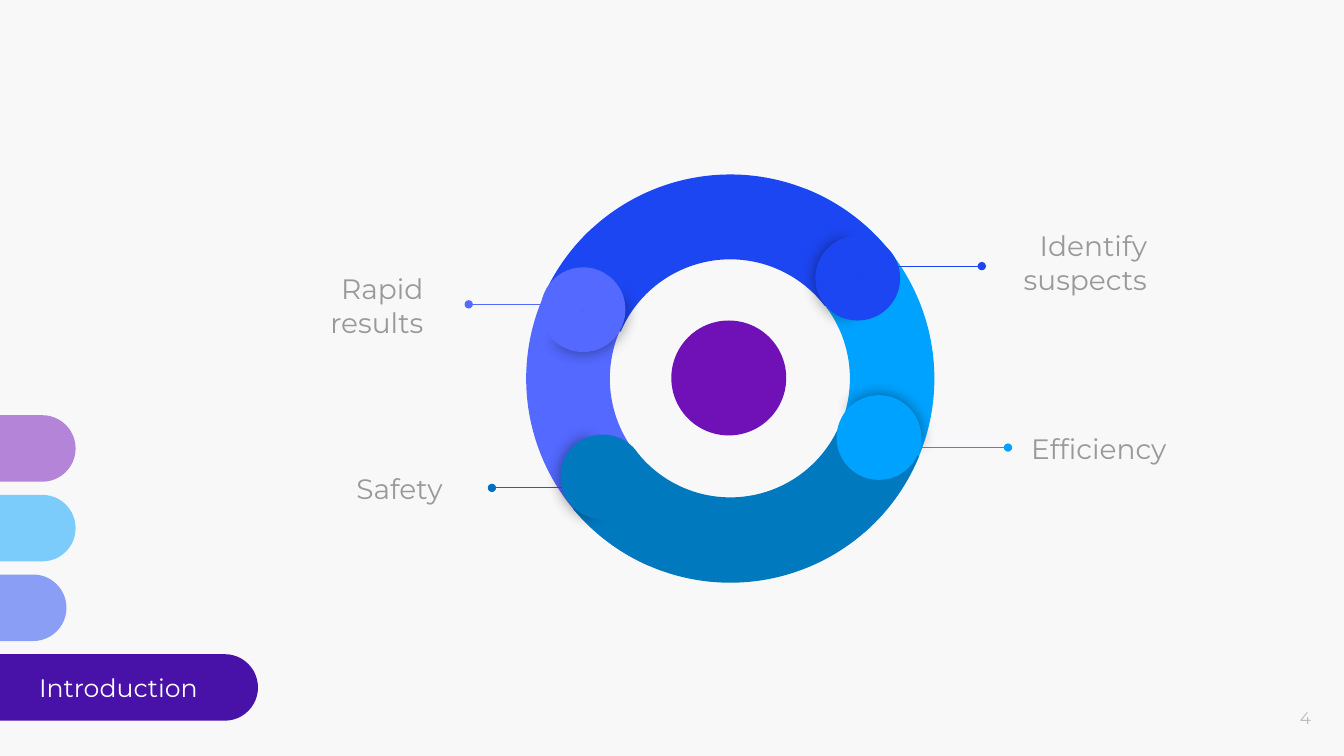
from pptx import Presentation
from pptx.util import Pt
from pptx.dml.color import RGBColor
from pptx.enum import shapes, text
from pptx.oxml import parse_xml
from pptx.oxml.ns import nsdecls, qn
from lxml import etree

# Content: lengths in points, angles in degrees
TABS = [  # colour, right end, opacity in percent
    ("violet", 54, 50),
    ("sky", 54, 50),
    ("blue", 47.5, 50),
    ("indigo", 184.3, 100),
]
SECTION = "Introduction"
PAGE = "4"
# Arcs are stacked in this order; label = (left, middle, width)
BENEFITS = [
    dict(name="Rapid results", color="periwinkle", arc=(263.1, 194.48, 0.205),
         dot=(416.5, 221.2), turn=240, lead=(391.7, 334.8, 217.4),
         lead_color="periwinkle", label=(198, 218.2, 113.8), align="RIGHT"),
    dict(name="Efficiency", color="sky", arc=(81.2, 196.63, 0.207),
         dot=(627.8, 312.5), turn=120, lead=(606.2, 720, 319.7),
         lead_color="sky", label=(727.2, 320.4, 128.2), align="LEFT"),
    dict(name="Safety", color="teal", arc=(171.9, 197.03, 0.209),
         dot=(430.6, 340.6), turn=0, lead=(408.2, 351.4, 348.5),
         lead_color="teal_line", label=(164.9, 348.5, 160.6), align="RIGHT"),
    dict(name="Identify suspects", color="blue", arc=(352.8, 197.82, 0.208),
         dot=(612.7, 198.7), turn=0, lead=(587.5, 701.3, 190.1),
         lead_color="blue", label=(680.4, 187.4, 148.3), align="RIGHT"),
]

THEME = dict(
    font="Montserrat", label_size=20, section_size=18, page_size=12,
    background="F8F8F8", grey="999999", pale="BABABA", white="FFFFFF",
    violet="6F11B7", indigo="4811A7", blue="1D46F3", sky="00A2FF",
    periwinkle="5369FF", teal="0079BF", teal_line="0070C0",
)
TAB_TOP, TAB_STEP, TAB_WIDTH, TAB_HEIGHT = 296.6, 56.9, 393.8, 47.5
WHEEL_CENTER, WHEEL_SIZE, ARC_START = (521.64, 270.4), 291.6, 126.23
DOT_SIZE, HUB_CENTER, HUB_SIZE = 60.5, (520.6, 270), 82.1
FRONT_PIE, BACK_PIE = (61.9, 149.96), (40.28, 171.84)
LABEL_HEIGHT, LABEL_INSET = 135.4, 9.35

prs = Presentation()
prs.slide_width, prs.slide_height = Pt(960), Pt(540)
slide = prs.slides.add_slide(prs.slide_layouts[6])


def color(name):
    return RGBColor.from_string(THEME[name])


def add_filled(kind, box, fill, adjust=(), rotation=0, opacity=100):
    shape = slide.shapes.add_shape(kind, *map(Pt, box))
    shape.shadow.inherit = False
    shape.fill.solid()
    shape.fill.fore_color.rgb = color(fill)
    shape.line.fill.background()
    shape.rotation = rotation
    for i, value in enumerate(adjust):
        shape.adjustments[i] = value
    if opacity < 100:
        rgb = shape._element.spPr.find(".//" + qn("a:srgbClr"))
        etree.SubElement(rgb, qn("a:alpha"), val=str(opacity * 1000))
    return shape


def square(center, size):
    return center[0] - size / 2, center[1] - size / 2, size, size


def add_glow(shape):
    effects = shape._element.spPr.find(qn("a:effectLst"))
    effects.append(parse_xml(
        f'<a:outerShdw {nsdecls("a")} blurRad="{Pt(11.2)}" dist="0" dir="0" '
        'algn="ctr" rotWithShape="0"><a:srgbClr val="000000">'
        '<a:alpha val="43000"/></a:srgbClr></a:outerShdw>'))


def add_lead(start, end, y, line_color):
    lead = slide.shapes.add_connector(
        shapes.MSO_CONNECTOR.STRAIGHT, Pt(start), Pt(y), Pt(end), Pt(y))
    lead.line.color.rgb = color(line_color)
    lead.line.width = Pt(0.75)
    etree.SubElement(lead.line._get_or_add_ln(), qn("a:tailEnd"), type="oval")
    etree.SubElement(lead._element.spPr, qn("a:effectLst"))


def add_text(words, box, *, size, fill, align="CENTER", inset=0):
    frame = slide.shapes.add_textbox(*map(Pt, box)).text_frame
    frame.word_wrap = True
    frame.vertical_anchor = text.MSO_ANCHOR.MIDDLE
    frame.margin_left = frame.margin_right = Pt(inset)
    frame.margin_top = frame.margin_bottom = Pt(inset)
    line = frame.paragraphs[0]
    line.alignment = text.PP_ALIGN[align]
    run = line.add_run()
    run.text = words
    run.font.name = THEME["font"]
    run.font.size = Pt(THEME[size])
    run.font.color.rgb = color(fill)


slide.background.fill.solid()
slide.background.fill.fore_color.rgb = color("background")
SHAPE = shapes.MSO_SHAPE

# Tabs that run in from the left edge
for i, (fill, right, opacity) in enumerate(TABS):
    add_filled(SHAPE.ROUNDED_RECTANGLE,
               (right - TAB_WIDTH, TAB_TOP + i * TAB_STEP, TAB_WIDTH, TAB_HEIGHT),
               fill, adjust=[0.5], opacity=opacity)
add_text(SECTION, (0, 476.6, 169.2, 28.8), size="section_size", fill="white")
add_text(PAGE, (905, 486, 55, 54), size="page_size", fill="pale")

# Wheel arcs
for benefit in BENEFITS:
    rotation, arc_end, thickness = benefit["arc"]
    add_filled(SHAPE.BLOCK_ARC, square(WHEEL_CENTER, WHEEL_SIZE), benefit["color"],
               adjust=(ARC_START, arc_end, thickness), rotation=rotation)

# Labels and leader lines
for benefit in BENEFITS:
    left, middle, width = benefit["label"]
    add_text(benefit["name"], (left, middle - LABEL_HEIGHT / 2, width, LABEL_HEIGHT),
             size="label_size", fill="grey", align=benefit["align"], inset=LABEL_INSET)
    add_lead(*benefit["lead"], benefit["lead_color"])

# Arc ends: a shaded half over the next arc, a plain half over its own
for benefit in BENEFITS:
    box, turn = square(benefit["dot"], DOT_SIZE), benefit["turn"]
    add_glow(add_filled(SHAPE.PIE, box, benefit["color"], FRONT_PIE, turn + 0.7))
    add_filled(SHAPE.PIE, box, benefit["color"], BACK_PIE, (turn + 180) % 360)

# Hub
add_filled(SHAPE.OVAL, square(HUB_CENTER, HUB_SIZE), "violet")

prs.save("out.pptx")
